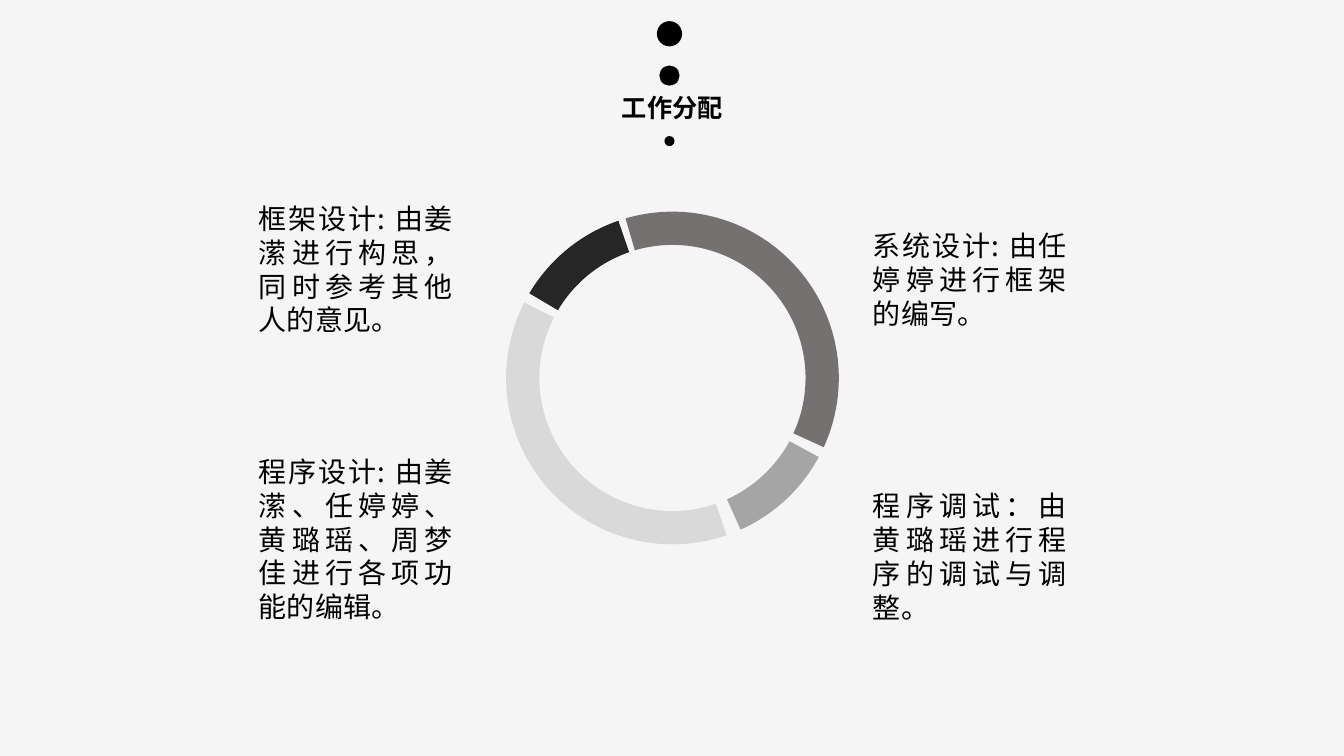
from dataclasses import dataclass
from math import cos, radians, sin

from lxml import etree
from pptx import Presentation
from pptx.dml.color import RGBColor
from pptx.enum import shapes, text
from pptx.oxml.ns import qn
from pptx.util import Inches, Pt


@dataclass(frozen=True)
class Theme:
    background: str = "F5F5F5"
    ink: str = "000000"
    light: str = "D9D9D9"
    warm: str = "767171"
    medium: str = "A5A5A5"
    dark: str = "262626"
    title_font: str = "Calibri"
    body_font: str = "Noto Sans CJK SC"
    title_size: float = 18
    body_size: float = 20
    title_line: float = 21.9
    body_line: float = 24.1


@dataclass(frozen=True)
class Dot:
    top: float
    diameter: float


@dataclass(frozen=True)
class Duty:
    left: float
    top: float
    height: float
    wording: str


@dataclass(frozen=True)
class Arc:
    start: float
    end: float
    color: str


THEME = Theme()
DOT_CENTER = 6.64
RING_X, RING_Y = 6.67, 3.75
OUTER_RADIUS, INNER_RADIUS = 1.65, 1.32
RING_TILT = -18
LEFT_COLUMN, RIGHT_COLUMN = 2.47, 8.56
DUTY_WIDTH = 2.12

DOTS = [Dot(0.21, 0.25), Dot(0.65, 0.2), Dot(1.35, 0.1)]
DUTIES = [
    Duty(LEFT_COLUMN, 4.46, 1.78, "程序设计: 由姜潆、任婷婷、黄璐瑶、周梦佳进行各项功能的编辑。"),
    Duty(LEFT_COLUMN, 1.95, 1.45, "框架设计: 由姜潆进行构思，同时参考其他人的意见。"),
    Duty(RIGHT_COLUMN, 2.22, 1.11, "系统设计: 由任婷婷进行框架的编写。"),
    Duty(RIGHT_COLUMN, 4.8, 1.45, "程序调试：由黄璐瑶进行程序的调试与调整。"),
]
ARCS = [
    Arc(89, 225, THEME.light),
    Arc(271.6, 402.6, THEME.warm),
    Arc(46.4, 83.8, THEME.medium),
    Arc(228.6, 269, THEME.dark),
]


def paint(shape, color: str) -> None:
    shape.fill.solid()
    shape.fill.fore_color.rgb = RGBColor.from_string(color)
    shape.line.fill.background()
    shape.shadow.inherit = False


def draw_dot(slide, dot: Dot) -> None:
    circle = slide.shapes.add_shape(
        shapes.MSO_SHAPE.OVAL,
        Inches(DOT_CENTER - dot.diameter / 2),
        Inches(dot.top),
        Inches(dot.diameter),
        Inches(dot.diameter),
    )
    paint(circle, THEME.ink)


def ring_point(radius: float, degrees: float) -> tuple[int, int]:
    angle = radians(degrees)
    return Inches(RING_X + radius * cos(angle)), Inches(RING_Y + radius * sin(angle))


def bend(segment, radius: float, start: float, end: float) -> None:
    curve = etree.Element(qn("a:arcTo"))
    curve.set("wR", str(Inches(radius)))
    curve.set("hR", str(Inches(radius)))
    curve.set("stAng", str(round(start % 360 * 60000)))
    curve.set("swAng", str(round((end - start) * 60000)))
    segment.getparent().replace(segment, curve)


def tilt(shape) -> None:
    across = shape.left + shape.width / 2 - Inches(RING_X)
    down = shape.top + shape.height / 2 - Inches(RING_Y)
    turn = radians(RING_TILT)
    center_x = Inches(RING_X) + across * cos(turn) - down * sin(turn)
    center_y = Inches(RING_Y) + across * sin(turn) + down * cos(turn)
    shape.left = round(center_x - shape.width / 2)
    shape.top = round(center_y - shape.height / 2)
    shape.rotation = RING_TILT % 360


def draw_arc(slide, arc: Arc) -> None:
    quarters = [angle for angle in range(0, 450, 90) if arc.start < angle < arc.end]
    angles = [arc.start, *quarters, arc.end]
    corners = [(OUTER_RADIUS, angle) for angle in angles]
    corners += [(INNER_RADIUS, angle) for angle in reversed(angles)]
    points = [ring_point(radius, angle) for radius, angle in corners]
    outline = slide.shapes.build_freeform(*points[0])
    outline.add_line_segments(points[1:], close=True)
    band = outline.convert_to_shape()
    segments = list(band._element.iter(qn("a:lnTo")))
    for segment, (radius, start), (next_radius, end) in zip(segments, corners, corners[1:]):
        if radius == next_radius:
            bend(segment, radius, start, end)
    tilt(band)
    paint(band, arc.color)


def write(
    slide, duty: Duty, width: float, font: str, size: float, line: float, heading: bool = False
) -> None:
    box = slide.shapes.add_textbox(
        Inches(duty.left), Inches(duty.top), Inches(width), Inches(duty.height)
    )
    frame = box.text_frame
    frame.text = duty.wording
    frame.word_wrap = not heading
    frame.auto_size = text.MSO_AUTO_SIZE.SHAPE_TO_FIT_TEXT
    paragraph = frame.paragraphs[0]
    paragraph.alignment = text.PP_ALIGN.LEFT if heading else text.PP_ALIGN.JUSTIFY
    paragraph.line_spacing = Pt(line)
    run = paragraph.runs[0]
    run.font.name = font
    run.font.size = Pt(size)
    run.font.bold = heading
    run.font.color.rgb = RGBColor.from_string(THEME.ink)
    east_asian = etree.SubElement(run.font._element, qn("a:ea"))
    east_asian.set("typeface", THEME.body_font)


def main() -> None:
    deck = Presentation()
    deck.slide_width, deck.slide_height = Inches(13.33), Inches(7.5)
    slide = deck.slides.add_slide(deck.slide_layouts[6])
    slide.background.fill.solid()
    slide.background.fill.fore_color.rgb = RGBColor.from_string(THEME.background)
    for dot in DOTS:
        draw_dot(slide, dot)
    for duty in DUTIES:
        write(slide, duty, DUTY_WIDTH, THEME.body_font, THEME.body_size, THEME.body_line)
    for arc in ARCS:
        draw_arc(slide, arc)
    title = Duty(6.07, 0.86, 0.4, "工作分配")
    write(slide, title, 1.2, THEME.title_font, THEME.title_size, THEME.title_line, heading=True)
    deck.save("out.pptx")


if __name__ == "__main__":
    main()
